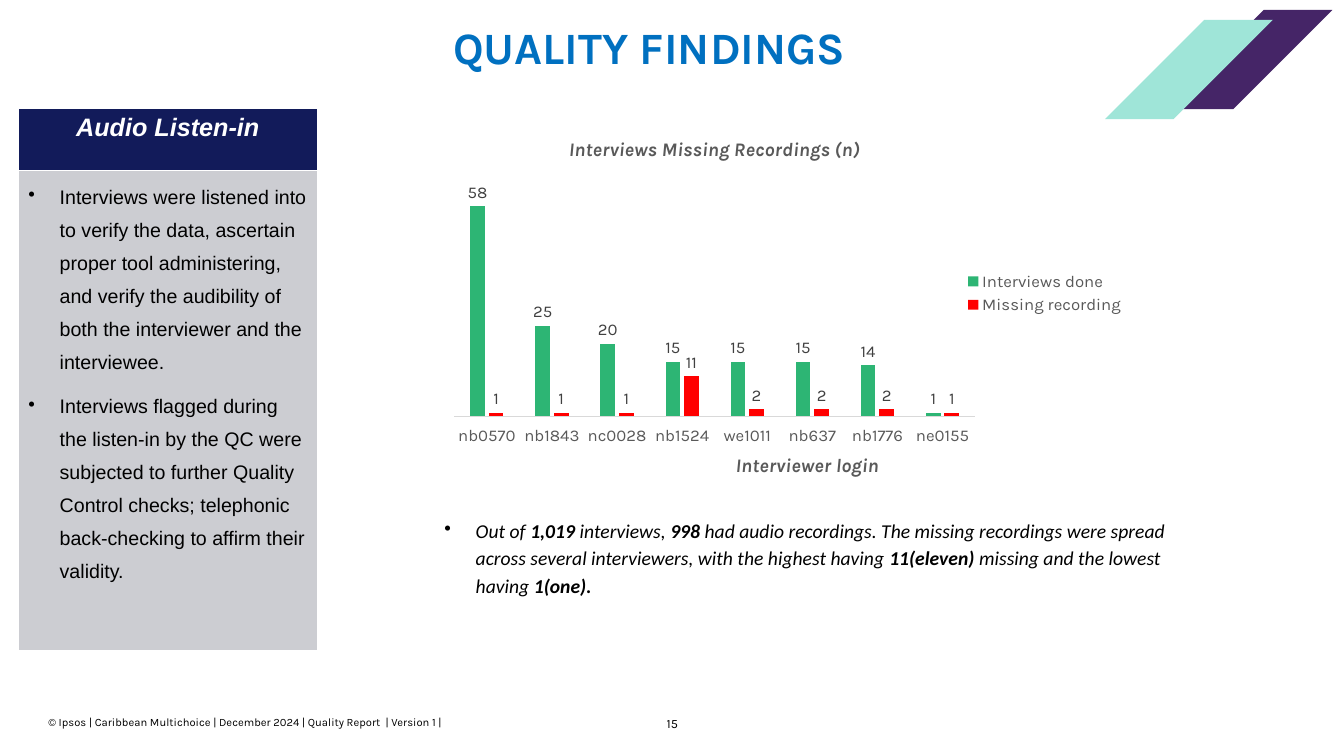
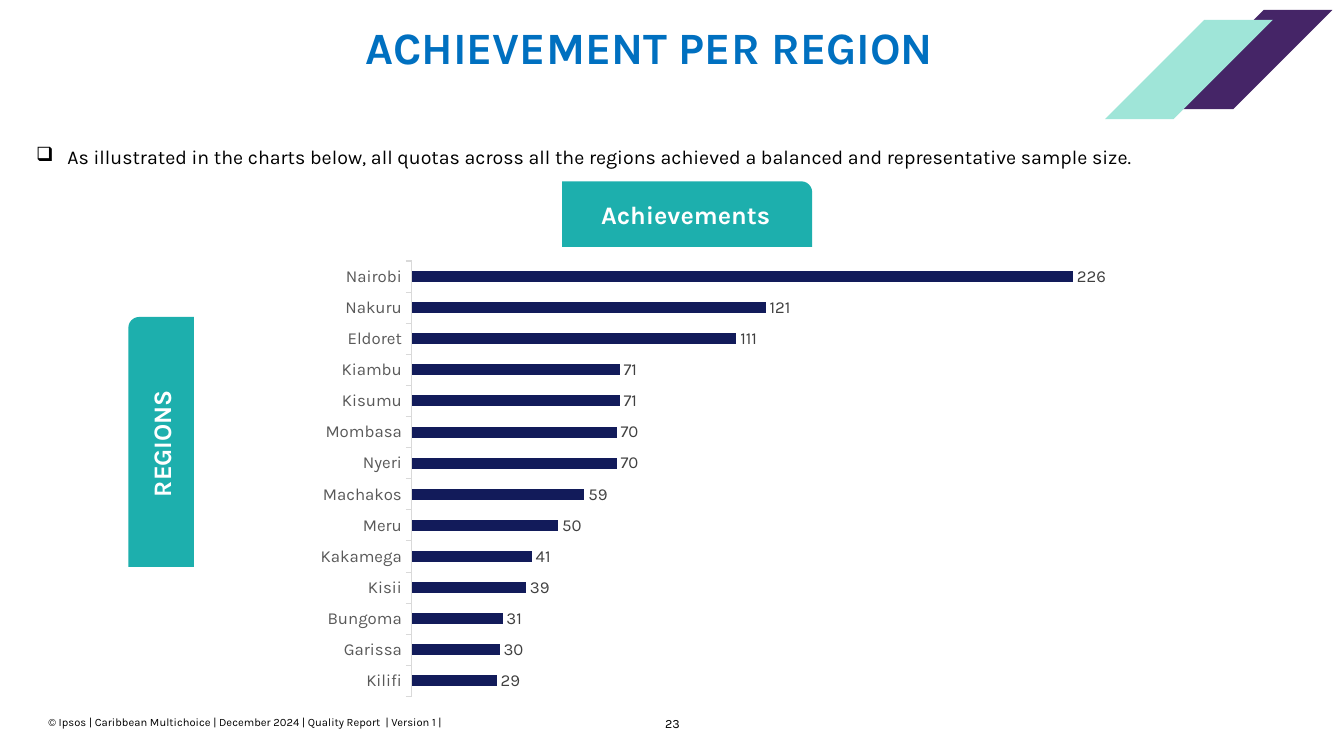
from lxml import etree
from pptx import Presentation
from pptx.chart.data import CategoryChartData
from pptx.dml.color import RGBColor
from pptx.enum.chart import XL_CHART_TYPE, XL_LABEL_POSITION, XL_LEGEND_POSITION, XL_TICK_LABEL_POSITION, XL_TICK_MARK
from pptx.enum.shapes import MSO_SHAPE
from pptx.enum.text import MSO_ANCHOR, PP_ALIGN
from pptx.oxml.ns import qn
from pptx.util import Cm, Pt

COLUMNS, BARS = XL_CHART_TYPE.COLUMN_CLUSTERED, XL_CHART_TYPE.BAR_CLUSTERED
OUTSIDE_END = XL_LABEL_POSITION.OUTSIDE_END
LEGEND_RIGHT = XL_LEGEND_POSITION.RIGHT
LABELS_LOW = XL_TICK_LABEL_POSITION.LOW
TICK_NONE, TICK_OUT = XL_TICK_MARK.NONE, XL_TICK_MARK.OUTSIDE
ROUND_CORNER = MSO_SHAPE.ROUND_1_RECTANGLE
TOP, MIDDLE, BOTTOM = MSO_ANCHOR.TOP, MSO_ANCHOR.MIDDLE, MSO_ANCHOR.BOTTOM
LEFT, CENTER, JUSTIFY = PP_ALIGN.LEFT, PP_ALIGN.CENTER, PP_ALIGN.JUSTIFY

COLORS = {name: RGBColor.from_string(value) for name, value in {
    "black": "000000", "white": "FFFFFF", "title": "0070C0",
    "purple": "452567", "mint": "9FE5D8", "teal": "1DAFAD",
    "navy": "121B5A", "panel": "CCCDD2", "green": "2DB574", "red": "FF0000",
    "axis text": "595959", "label text": "404040", "axis line": "D9D9D9",
}.items()}
FOOTER = "© Ipsos | Caribbean Multichoice | December 2024 | Quality Report  | Version 1 |"


def write(frame, lines, size, color="black", font="Karla", bold=False, italic=False,
          align=LEFT, spacing=1.0, gap=0, bullet=None):
    """Fill a frame with one paragraph per line; *stars* enclose bold words."""
    frame.text = "\n".join(lines)
    for index, (para, line) in enumerate(zip(frame.paragraphs, lines)):
        pieces = line.split("*")
        para.text = pieces[0]
        for piece in pieces[1:]:
            para.add_run().text = piece
        if bullet:
            properties = para._p.get_or_add_pPr()
            properties.set("marL", str(Cm(0.79)))
            properties.set("indent", str(-Cm(0.79)))
            etree.SubElement(properties, qn("a:buChar")).set("char", bullet)
        para.alignment, para.line_spacing = align, spacing
        para.space_before = Pt(gap if index else 0)
        para.space_after = Pt(gap)
        for number, span in enumerate(para.runs):
            span.font.name, span.font.size = font, Pt(size)
            span.font.bold = bold or number % 2 == 1
            span.font.italic = italic
            span.font.color.rgb = COLORS[color]


def draw_chart(page, kind, box, categories, series, gap, overlap, tick):
    """Add a labelled bar chart; series holds (name, color, values)."""
    data = CategoryChartData()
    data.categories = categories
    for name, _, values in series:
        data.add_series(name, values)
    chart = page.shapes.add_chart(kind, *map(Cm, box), data).chart
    chart.has_title = chart.has_legend = False
    chart.font.name, chart.font.size = "Karla", Pt(12)
    chart.font.color.rgb = COLORS["axis text"]
    chart.value_axis.visible = False
    chart.value_axis.has_major_gridlines = False
    axis = chart.category_axis
    axis.major_tick_mark, axis.minor_tick_mark = tick, TICK_NONE
    axis.tick_label_position = LABELS_LOW
    axis.format.line.color.rgb = COLORS["axis line"]
    axis.format.line.width = Pt(0.75)
    plot = chart.plots[0]
    plot.gap_width, plot.overlap, plot.vary_by_categories = gap, overlap, False
    for bars, (_, color, _) in zip(plot.series, series):
        bars.invert_if_negative = False
        bars.format.fill.solid()
        bars.format.fill.fore_color.rgb = COLORS[color]
        labels = bars.data_labels
        labels.show_value, labels.position = True, OUTSIDE_END
        labels.font.name, labels.font.size = "Karla", Pt(12)
        labels.font.color.rgb = COLORS["label text"]
    return chart


deck = Presentation()
deck.slide_width, deck.slide_height = Cm(33.87), Cm(19.05)

# Shared frame: footer, page number, title, corner stripes and one bulleted note
findings_note = (
    (11.2, 13, 18.44, 2.03),
    "Out of *1,019* interviews, *998* had audio recordings. The missing recordings were "
    "spread across several interviewers, with the highest having *11(eleven) *missing and "
    "the lowest having *1(one).",
    {"font": "Calibri", "italic": True, "bullet": "•"})
region_note = (
    (0.91, 3.56, 30.86, 0.61),
    "As illustrated in the charts below, all quotas across all the regions achieved a "
    "balanced and representative sample size.",
    {"align": JUSTIFY, "bullet": "❑"})
pages = []
for heading, number, (note_box, note, note_style) in [
    ("QUALITY FINDINGS", "15", findings_note),
    ("ACHIEVEMENT PER REGION", "23", region_note),
]:
    page = deck.slides.add_slide(deck.slide_layouts[6])
    pages.append(page)
    for box, text, anchor, style in [
        ((1.22, 18.03, 12.98, 0.33), FOOTER, BOTTOM, {"size": 8}),
        ((16.26, 18.01, 1.37, 0.38), number, TOP,
         {"size": 9, "align": CENTER, "spacing": 1.1, "gap": 4}),
        ((6.35, 0.64, 20.04, 1.14), heading, TOP,
         {"size": 32, "color": "title", "bold": True, "align": CENTER, "spacing": 0.9}),
        (note_box, note, TOP, {"size": 14, "spacing": 1.15, "gap": 4, **note_style}),
    ]:
        frame = page.shapes.add_textbox(*map(Cm, box)).text_frame
        frame.word_wrap, frame.vertical_anchor = True, anchor
        frame.margin_left = frame.margin_top = frame.margin_right = frame.margin_bottom = 0
        write(frame, [text], **style)
    for left, top, color in [(31.85, 0.25, "purple"), (30.35, 0.5, "mint")]:
        outline = page.shapes.build_freeform(Cm(left), Cm(top))
        outline.add_line_segments([
            (Cm(left + across), Cm(top + down))
            for across, down in [(1.73, 0), (-0.77, 2.5), (-2.5, 2.5)]])
        stripe = outline.convert_to_shape()
        stripe.shadow.inherit = False
        stripe.fill.solid()
        stripe.fill.fore_color.rgb = COLORS[color]
        stripe.line.fill.background()
findings, regions = pages

# Quality findings: listen-in panel
panel = findings.shapes.add_table(2, 1, Cm(0.46), Cm(2.74), Cm(7.54), Cm(13.66)).table
panel.horz_banding = False
for row, (height, fill, lines, style) in enumerate([
    (1.55, "navy", ["Audio Listen-in"],
     {"size": 18, "color": "white", "bold": True, "italic": True, "align": CENTER}),
    (12.11, "panel", [
        "Interviews were listened into to verify the data, ascertain proper tool "
        "administering, and verify the audibility of both the interviewer and the interviewee.",
        "Interviews flagged during the listen-in by the QC were subjected to further Quality "
        "Control checks; telephonic back-checking to affirm their validity."],
     {"size": 14, "spacing": 1.5, "gap": 4, "bullet": "•"}),
]):
    panel.rows[row].height = Cm(height)
    cell = panel.cell(row, 0)
    cell.fill.solid()
    cell.fill.fore_color.rgb = COLORS[fill]
    write(cell.text_frame, lines, font="Arial", **style)

# Quality findings: missing recordings
recordings = draw_chart(
    findings, COLUMNS, (11.1, 2.82, 17.5, 9.35),
    ["nb0570", "nb1843", "nc0028", "nb1524", "we1011", "nb637", "nb1776", "ne0155"],
    [("Interviews done", "green", [58, 25, 20, 15, 15, 15, 14, 1]),
     ("Missing recording", "red", [1, 1, 1, 11, 2, 2, 2, 1])],
    219, -27, TICK_NONE)
recordings.has_legend = True
recordings.legend.position = LEGEND_RIGHT
recordings.legend.include_in_layout = False
recordings.legend.font.name, recordings.legend.font.size = "Karla", Pt(12)
recordings.legend.font.color.rgb = COLORS["axis text"]
login_title = recordings.category_axis.axis_title
for title, text in [(recordings.chart_title, "Interviews Missing Recordings (n)"),
                    (login_title, "Interviewer login")]:
    write(title.text_frame, [text], 14, "axis text", bold=True, italic=True)

# Manual positions, as fractions of the chart area
plot_area = recordings.plots[0]._element.getparent()
for parent, index, settings in [
    (plot_area, 0, {"layoutTarget": "inner", "xMode": "edge", "yMode": "edge",
                    "x": 0.02, "y": 0.14, "w": 0.75, "h": 0.7}),
    (recordings.chart_title._element, 1, {"xMode": "edge", "yMode": "edge", "x": 0.18, "y": 0.06}),
    (login_title._element, 1, {"xMode": "edge", "yMode": "edge", "x": 0.42, "y": 0.93}),
]:
    for old in parent.findall(qn("c:layout")):
        parent.remove(old)
    layout = etree.Element(qn("c:layout"))
    manual = etree.SubElement(layout, qn("c:manualLayout"))
    for name, value in settings.items():
        etree.SubElement(manual, qn("c:" + name)).set("val", str(value))
    parent.insert(index, layout)

# Achievement per region
achieved = {
    "Kilifi": 29, "Garissa": 30, "Bungoma": 31, "Kisii": 39, "Kakamega": 41,
    "Meru": 50, "Machakos": 59, "Nyeri": 70, "Mombasa": 70, "Kisumu": 71,
    "Kiambu": 71, "Eldoret": 111, "Nakuru": 121, "Nairobi": 226}
draw_chart(regions, BARS, (7.65, 6.35, 21.59, 11.43), list(achieved),
           [("Series 1", "navy", list(achieved.values()))], 182, 0, TICK_OUT)
for text, left, top, rotation in [("REGIONS", 0.91, 10.31, 270), ("Achievements", 14.17, 4.57, 0)]:
    tab = regions.shapes.add_shape(ROUND_CORNER, Cm(left), Cm(top), Cm(6.3), Cm(1.65))
    tab.rotation = rotation
    tab.shadow.inherit = False
    tab.fill.solid()
    tab.fill.fore_color.rgb = COLORS["teal"]
    tab.line.fill.background()
    frame = tab.text_frame
    frame.word_wrap, frame.vertical_anchor = True, MIDDLE
    frame.margin_left = frame.margin_top = frame.margin_right = frame.margin_bottom = 0
    write(frame, [text], 18, "white", bold=True, align=CENTER)

deck.save("out.pptx")
